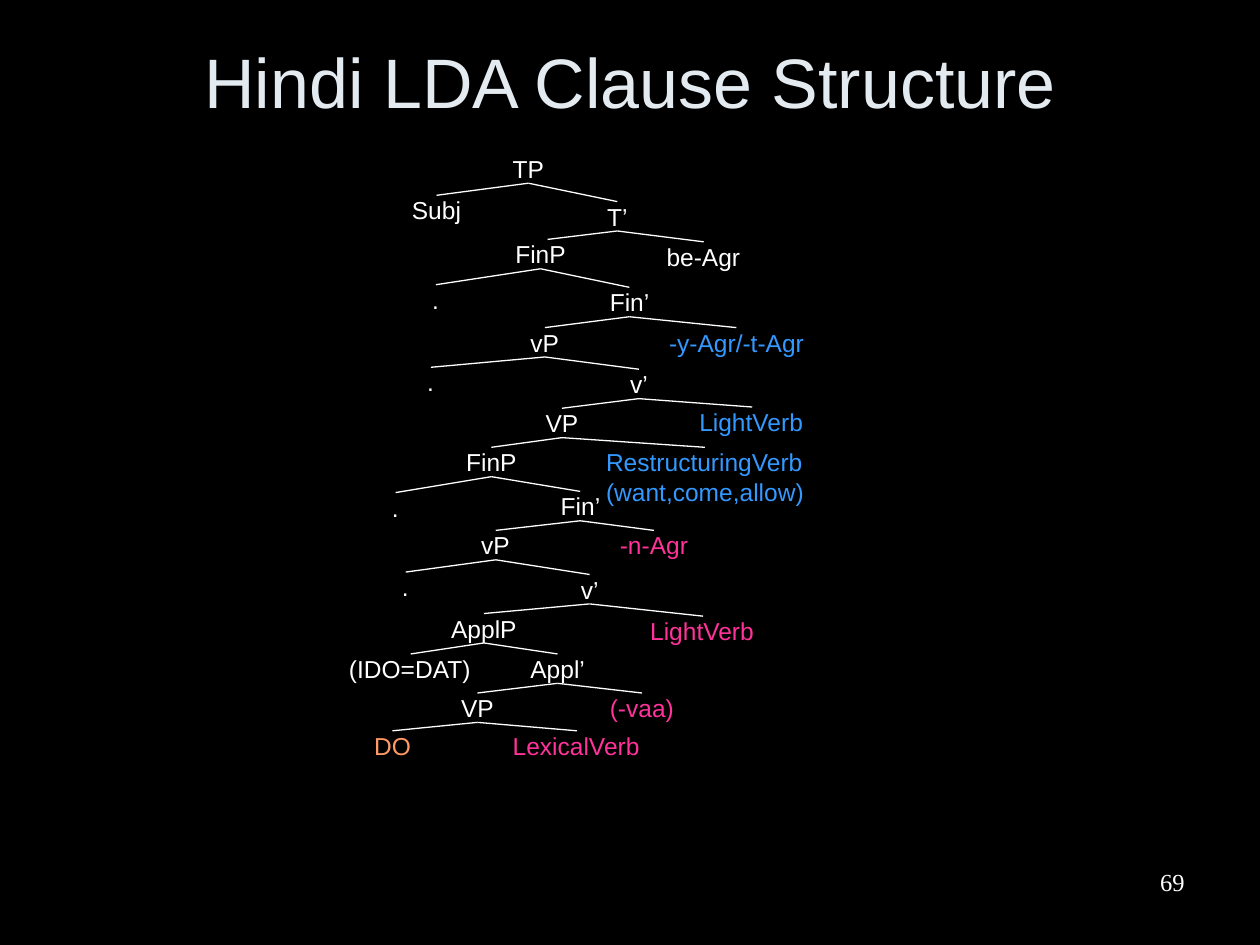
from dataclasses import dataclass

from lxml.etree import SubElement
from pptx import Presentation
from pptx.dml.color import RGBColor
from pptx.enum.shapes import MSO_CONNECTOR as Connector
from pptx.enum.text import MSO_ANCHOR as Anchor, MSO_AUTO_SIZE as AutoSize, PP_ALIGN as Align
from pptx.oxml.ns import qn
from pptx.util import Pt

WHITE, BLUE, PINK, ORANGE = "FFFFFF", "3399FF", "FF3399", "FF9966"
LINE_HEIGHT = 16.8


def color(value):
    return RGBColor.from_string(value)


@dataclass
class Node:
    text: str
    left: float
    top: float
    width: float
    ink: str = WHITE
    shift: float = 0

    @property
    def center(self):
        return self.left + self.width / 2

    @property
    def height(self):
        return LINE_HEIGHT * len(self.text.split("\n"))


ROOT = Node("TP", 293, 87.9, 18)

BRANCHES = [
    (Node("T’", 347, 115.2, 11.5), Node("Subj", 235.4, 111.6, 28.1)),
    (Node("FinP", 294.5, 136.8, 28.8, shift=4), Node("be-Agr", 380.9, 138.2, 42.5)),
    (Node("Fin’", 348.5, 164.2, 22.3), Node(".", 247, 162.7, 4.3)),
    (Node("vP", 303.1, 187.2, 16.6), Node("-y-Agr/-t-Agr", 382.3, 187.2, 77, BLUE)),
    (Node("v’", 360, 211, 10.1), Node(".", 244.1, 209.9, 4.3)),
    (Node("VP", 311.8, 233.3, 18.7), Node("LightVerb", 399.6, 232.6, 60.5, BLUE)),
    (Node("FinP", 266.4, 255.6, 28.8),
     Node("RestructuringVerb\n(want,come,allow)", 346.3, 255.6, 113, BLUE)),
    (Node("Fin’", 320.4, 280.8, 22.3), Node(".", 223.9, 281.5, 4.3)),
    (Node("vP", 275, 303.1, 16.6), Node("-n-Agr", 354.2, 303.1, 38.9, PINK)),
    (Node("v’", 331.9, 328.3, 10.1), Node(".", 229.7, 326.9, 4.3)),
    (Node("ApplP", 257.8, 350.6, 37.4), Node("LightVerb", 371.5, 352.1, 60.5, PINK)),
    (Node("Appl’", 303.1, 373.7, 31), Node("(IDO=DAT)", 199.4, 373.7, 70.6)),
    (Node("VP", 263.5, 396, 18.7), Node("(-vaa)", 348.5, 396, 36.7, PINK)),
    (Node("DO", 213.8, 417.6, 20.9, ORANGE), Node("LexicalVerb", 293, 417.6, 73.4, PINK)),
]


class TreeSlide:
    font = "Arial"
    size = 14
    line_width = 0.75
    slack = 1.2

    def __init__(self, deck):
        self.page = deck.slides.add_slide(deck.slide_layouts[6])
        self.page.background.fill.solid()
        self.page.background.fill.fore_color.rgb = color("000000")

    def text(self, words, left, top, width, height, ink=WHITE, size=None, font=None,
             align=Align.LEFT, anchor=Anchor.MIDDLE):
        box = self.page.shapes.add_textbox(Pt(left), Pt(top), Pt(width), Pt(height))
        frame = box.text_frame
        frame.text = words
        frame.word_wrap = True
        frame.vertical_anchor = anchor
        for para in frame.paragraphs:
            para.alignment = align
            for span in para.runs:
                span.font.name = font or self.font
                span.font.size = Pt(size or self.size)
                span.font.color.rgb = color(ink)
        return frame

    def label(self, node):
        frame = self.text(node.text, node.left, node.top, node.width + self.slack,
                          node.height, node.ink)
        frame.word_wrap = False
        frame.auto_size = AutoSize.SHAPE_TO_FIT_TEXT
        frame.margin_left = frame.margin_right = frame.margin_top = frame.margin_bottom = 0

    def edge(self, parent, child):
        line = self.page.shapes.add_connector(
            Connector.STRAIGHT,
            Pt(parent.center), Pt(parent.top + parent.height),
            Pt(child.center + child.shift), Pt(child.top))
        line.line.color.rgb = color(WHITE)
        line.line.width = Pt(self.line_width)
        SubElement(line._element.spPr, qn("a:effectLst"))

    def tree(self, root, branches):
        self.label(root)
        parent = root
        for pair in branches:
            for child in pair:
                self.edge(parent, child)
                self.label(child)
            parent = pair[0]


def main():
    deck = Presentation()
    deck.slide_width, deck.slide_height = Pt(720), Pt(540)
    slide = TreeSlide(deck)
    slide.text("Hindi LDA Clause Structure", 36, 22, 648, 48.2, "E3EBF1", 40,
               align=Align.CENTER)
    slide.tree(ROOT, BRANCHES)
    slide.text("69", 516.2, 491.8, 167.8, 37.4, font="Times New Roman",
               align=Align.RIGHT, anchor=Anchor.TOP)
    deck.save("out.pptx")


if __name__ == "__main__":
    main()
